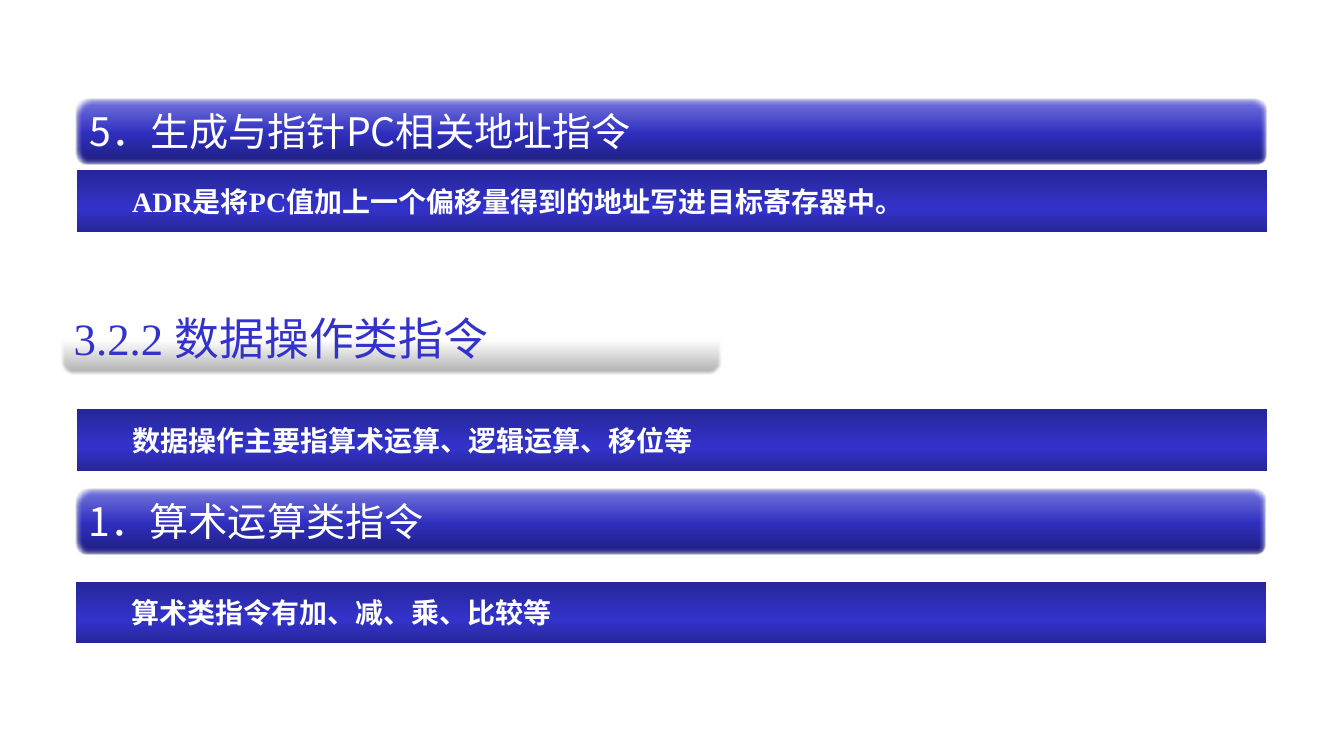
"""Build a slide on address generation and data operation instructions."""
from lxml import etree
from pptx import Presentation
from pptx.dml.color import RGBColor
from pptx.enum.shapes import MSO_SHAPE
from pptx.enum.text import MSO_ANCHOR, MSO_AUTO_SIZE, PP_ALIGN
from pptx.oxml.ns import qn
from pptx.util import Cm, Pt

RECT, ROUND = MSO_SHAPE.RECTANGLE, MSO_SHAPE.ROUNDED_RECTANGLE
TOP, MIDDLE = MSO_ANCHOR.TOP, MSO_ANCHOR.MIDDLE
LEFT, JUSTIFY = PP_ALIGN.LEFT, PP_ALIGN.JUSTIFY
GROW = MSO_AUTO_SIZE.SHAPE_TO_FIT_TEXT

WHITE = RGBColor(0xFF, 0xFF, 0xFF)
GRAY = RGBColor(0x80, 0x80, 0x80)
SILVER = RGBColor(0xAB, 0xAB, 0xAB)
BLUE = RGBColor(0x33, 0x33, 0xCC)
DEEP_BLUE = RGBColor(0x26, 0x26, 0x99)
NAVY = RGBColor(0x1E, 0x1E, 0x7C)
ROYAL = RGBColor(0x2F, 0x2F, 0xC0)
PALE_BLUE = RGBColor(0x78, 0x78, 0xDE)

SANS, SERIF = "Noto Sans CJK SC", "Times New Roman"
HEADING_STOPS = [(0, NAVY), (48, ROYAL), (100, PALE_BLUE)]
BODY_STOPS = [(0, DEEP_BLUE), (62, BLUE), (100, DEEP_BLUE)]
TITLE_STOPS = [(0, SILVER), (48, WHITE), (100, WHITE)]


def fill_gradient(sp, stops, angle):
    """Fill a shape with a linear gradient of any number of stops."""
    sp.fill.gradient()
    grad = sp._element.spPr.find(qn("a:gradFill"))
    gs_lst = grad.find(qn("a:gsLst"))
    for gs in list(gs_lst):
        gs_lst.remove(gs)
    for pos, color in stops:
        gs = etree.SubElement(gs_lst, qn("a:gs"), pos=str(pos * 1000))
        etree.SubElement(gs, qn("a:srgbClr"), val=str(color))
    grad.find(qn("a:lin")).set("ang", str(angle * 60000))


def add_bar(slide, kind, box, stops, angle, text, font, size, color):
    """Add a gradient bar with one line of text."""
    sp = slide.shapes.add_shape(kind, *(Cm(v) for v in box))
    sp.shadow.inherit = False
    fill_gradient(sp, stops, angle)
    sp.line.fill.background()
    tf = sp.text_frame
    tf.word_wrap = False
    tf.vertical_anchor = TOP
    p = tf.paragraphs[0]
    p.text = text
    p.alignment = LEFT
    p.font.name, p.font.size, p.font.color.rgb = font, Pt(size), color
    return sp


def soften_edge(sp):
    """Give a shape a soft edge."""
    effects = sp._element.spPr.find(qn("a:effectLst"))
    etree.SubElement(effects, qn("a:softEdge"), rad=str(Pt(2.5)))


def add_heading(slide, left, top, text):
    """Add a rounded heading bar."""
    sp = add_bar(slide, ROUND, (left, top, 29.97, 1.63), HEADING_STOPS, 270,
                 text, SANS, 28, WHITE)
    sp.line.color.rgb = GRAY
    sp.line.width = Pt(0.75)
    soften_edge(sp)


def add_body(slide, left, top, text):
    """Add a square bar with an indented bold sentence."""
    sp = add_bar(slide, RECT, (left, top, 30, 1.55), BODY_STOPS, 90,
                 text, SERIF, 20, WHITE)
    tf = sp.text_frame
    tf.word_wrap = True
    tf.auto_size = GROW
    tf.vertical_anchor = MIDDLE
    tf.margin_left = tf.margin_right = Cm(0.66)
    tf.margin_top = tf.margin_bottom = Cm(0.36)
    p = tf.paragraphs[0]
    p.alignment = JUSTIFY
    p.font.bold = True
    pPr = p._p.get_or_add_pPr()
    pPr.set("marL", "0")
    pPr.set("indent", str(Cm(0.74)))


def add_section_title(slide, text):
    """Add the silver section title bar."""
    sp = add_bar(slide, ROUND, (1.52, 7.62, 16.66, 1.83), TITLE_STOPS, 270,
                 text, SERIF, 32, BLUE)
    soften_edge(sp)


def main():
    """Build and save the slide."""
    prs = Presentation()
    prs.slide_width, prs.slide_height = Cm(33.87), Cm(19.05)
    slide = prs.slides.add_slide(prs.slide_layouts[6])
    add_heading(slide, 1.93, 2.51, "5．生成与指针PC相关地址指令")
    add_body(slide, 1.93, 4.29,
             "ADR是将PC值加上一个偏移量得到的地址写进目标寄存器中。")
    add_body(slide, 1.93, 10.31, "数据操作主要指算术运算、逻辑运算、移位等")
    add_heading(slide, 1.91, 12.32, "1．算术运算类指令")
    add_body(slide, 1.91, 14.66, "算术类指令有加、减、乘、比较等")
    add_section_title(slide, "3.2.2 数据操作类指令")
    prs.save("out.pptx")


if __name__ == "__main__":
    main()
